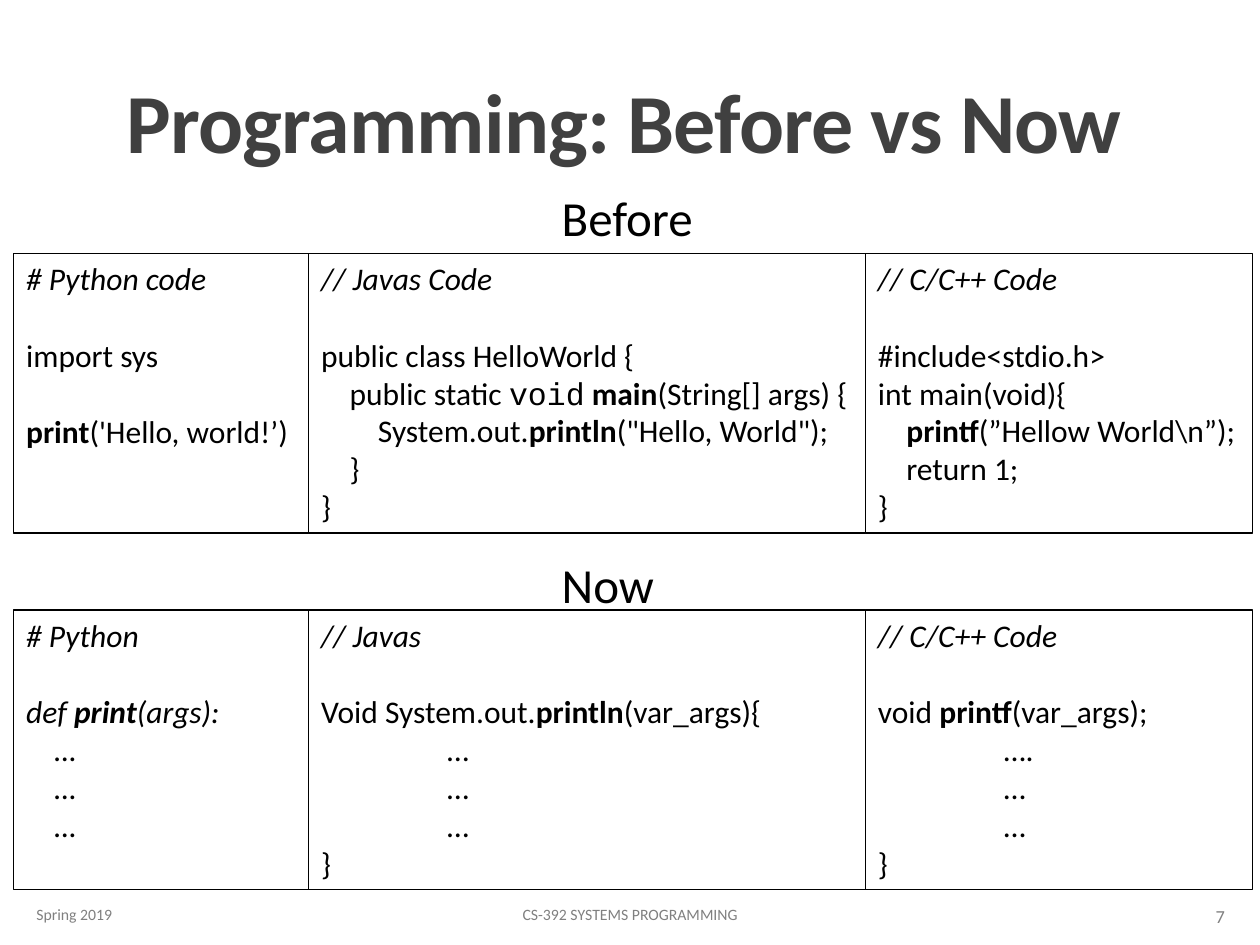
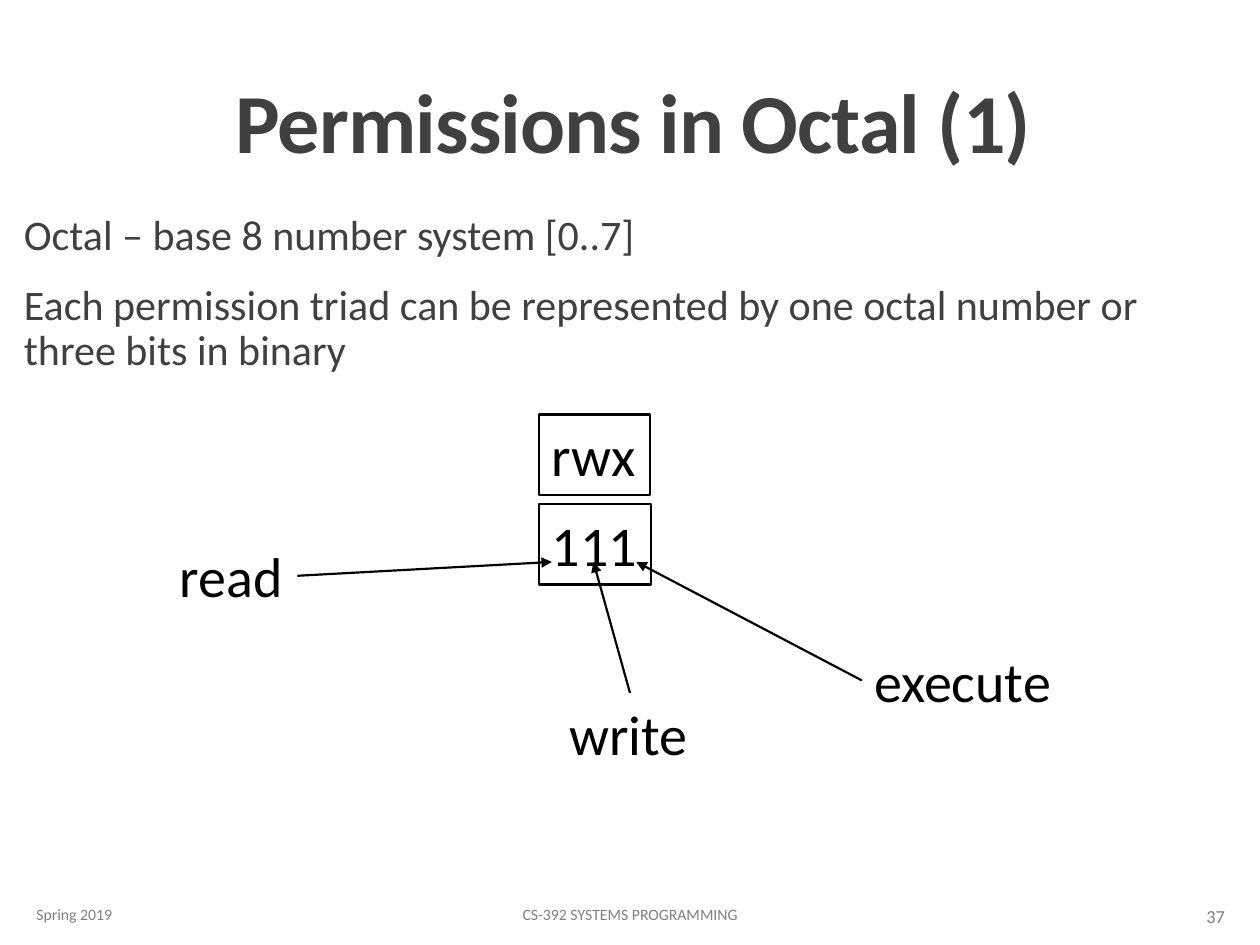
import pptx
import pptx.dml.color
import pptx.enum.shapes
import pptx.enum.text
import pptx.oxml.ns
import pptx.util
import lxml.etree

COLORS = {"ink": "000000", "title": "404040", "footer": "808080", "paper": "FFFFFF"}
COLS, ROWS = 100, 75
ANCHOR = pptx.enum.text.MSO_ANCHOR
ALIGN = pptx.enum.text.PP_ALIGN


def color(name):
    return pptx.dml.color.RGBColor.from_string(COLORS[name])


def add_child(parent, tag, **attributes):
    return lxml.etree.SubElement(parent, pptx.oxml.ns.qn(tag), attributes)


class Deck:
    font, mono = "Calibri", "Courier New"

    def __init__(self):
        self.prs = pptx.Presentation()
        self.prs.slide_width = pptx.util.Inches(10)
        self.prs.slide_height = pptx.util.Inches(7.5)
        self.s = None

    def x(self, cols):
        return round(self.prs.slide_width * cols / COLS)

    def y(self, rows):
        return round(self.prs.slide_height * rows / ROWS)

    def frame(self, at):
        left, top, width, height = at
        return self.x(left), self.y(top), self.x(width), self.y(height)

    def style(self, p, size, ink="ink", align=None, bold=None, italic=None):
        p.font.name, p.font.size = self.font, pptx.util.Pt(size)
        p.font.color.rgb = color(ink)
        p.font.bold, p.font.italic = bold, italic
        if align is not None:
            p.alignment = align

    def slide(self, title, number):
        self.s = self.prs.slides.add_slide(self.prs.slide_layouts[6])
        p = self.text(title, (9, 0.4, 82.5, 13.6), 48, "title",
                      ALIGN.CENTER, ANCHOR.BOTTOM, bold=True)
        p.line_spacing = 0.85
        p.runs[0]._r.get_or_add_rPr().set("spc", "-50")
        for words, at, size, align in (
                ("Spring 2019", (1.9, 70.6, 20.3, 4), 9, ALIGN.LEFT),
                ("CS-392 SYSTEMS PROGRAMMING", (30.2, 70.6, 39.6, 4), 9, ALIGN.CENTER),
                (str(number), (87.4, 70.7, 10.8, 4), 10.5, ALIGN.RIGHT)):
            self.text(words, at, size, "footer", align, ANCHOR.MIDDLE)

    def text(self, words, at, size, ink="ink", align=None, anchor=ANCHOR.TOP,
             bold=None, wrap=True):
        tf = self.s.shapes.add_textbox(*self.frame(at)).text_frame
        return self.fill_text(tf, words, size, ink, align, anchor, bold, wrap)

    def fill_text(self, tf, words, size, ink="ink", align=None,
                  anchor=ANCHOR.TOP, bold=None, wrap=True):
        tf.word_wrap, tf.vertical_anchor = wrap, anchor
        p = tf.paragraphs[0]
        p.add_run().text = words
        self.style(p, size, ink, align, bold)
        return p

    def box(self, at, weight, fill=None):
        sp = self.s.shapes.add_shape(
            pptx.enum.shapes.MSO_SHAPE.RECTANGLE, *self.frame(at))
        sp.shadow.inherit = False
        sp.line.color.rgb = color("ink")
        sp.line.width = pptx.util.Pt(weight)
        if fill:
            sp.fill.solid()
            sp.fill.fore_color.rgb = color(fill)
        else:
            sp.fill.background()
        return sp.text_frame

    def code(self, source, at, italic_lines=1, size=18):
        tf = self.box(at, 0.75)
        tf.word_wrap, tf.vertical_anchor = True, ANCHOR.TOP
        p, gap = tf.paragraphs[0], 0
        for i, line in enumerate(source.split("\n")):
            if not line:
                gap = 22
                continue
            if i:
                p = tf.add_paragraph()
            if line.startswith("\t"):
                tabs = add_child(p._p.get_or_add_pPr(), "a:tabLst")
                add_child(tabs, "a:tab", pos=str(self.x(10)), algn="l")
            self.style(p, size, align=ALIGN.LEFT, italic=i < italic_lines)
            if gap:
                p.space_before, gap = pptx.util.Pt(gap), 0
            for j, part in enumerate(line.split("|")):
                if not part:
                    continue
                r = p.add_run()
                r.text = part.lstrip("`")
                if part.startswith("`"):
                    r.font.name = self.mono
                elif j % 2:
                    r.font.bold = True

    def body(self, items, at, size):
        tf = self.s.shapes.add_textbox(*self.frame(at)).text_frame
        tf.word_wrap, tf.margin_left, tf.margin_right = True, 0, 0
        for i, item in enumerate(items):
            p = tf.add_paragraph() if i else tf.paragraphs[0]
            p.add_run().text = item
            p.line_spacing, p.space_after = 0.9, pptx.util.Pt(2)
            if i:
                p.space_before = pptx.util.Pt(12)
            self.style(p, size, "title")

    def arrow(self, start, end):
        c = self.s.shapes.add_connector(
            pptx.enum.shapes.MSO_CONNECTOR.STRAIGHT,
            self.x(start[0]), self.y(start[1]), self.x(end[0]), self.y(end[1]))
        c.line.color.rgb = color("ink")
        c.line.width = pptx.util.Pt(1.25)
        add_child(c.line._get_or_add_ln(), "a:tailEnd", type="triangle")
        add_child(c._element.spPr, "a:effectLst")


PYTHON_BEFORE = """# Python code

import sys

|print|('Hello, world!’)"""

JAVA_BEFORE = """// Javas Code

public class HelloWorld {
    public static |`void| |main|(String[] args) {
        System.out.|println|("Hello, World");
    }
}"""

C_BEFORE = r"""// C/C++ Code

#include<stdio.h>
int main(void){
    |printf|(”Hellow World\n”);
    return 1;
}"""

PYTHON_NOW = """# Python

def |print|(args):
    …
    …
    …"""

JAVA_NOW = """// Javas

Void System.out.|println|(var_args){
\t…
\t…
\t…
}"""

C_NOW = """// C/C++ Code

void |printf|(var_args);
\t….
\t…
\t…
}"""


def before_vs_now(deck):
    deck.slide("Programming: Before vs Now ", 7)
    widths = (23.4, 44.2, 30.7)
    for heading, heading_top, top, sources, python_italics in (
            ("Before", 14.4, 20.1, (PYTHON_BEFORE, JAVA_BEFORE, C_BEFORE), 1),
            ("Now", 43.5, 48.4, (PYTHON_NOW, JAVA_NOW, C_NOW), 6)):
        deck.text(heading, (43.6, heading_top, 22.8, 5.7), 28)
        left = 1.1
        for source, width, italics in zip(sources, widths, (python_italics, 1, 1)):
            deck.code(source, (left, top, width, 22.2), italics)
            left += width


def permissions_in_octal(deck):
    deck.slide("Permissions in Octal (1)", 37)
    deck.body(("Octal – base 8 number system [0..7]",
               "Each permission triad can be represented by one octal number "
               "or three bits in binary"), (1.9, 16.5, 96.2, 16.4), 24)
    for bits, top, width in (("111", 40, 8.9), ("rwx", 32.9, 8.8)):
        tf = deck.box((42.8, top, width, 6.4), 1.25, "paper")
        deck.fill_text(tf, bits, 32, align=ALIGN.LEFT, wrap=False)
    for label, left, top, width, start, bit_x in (
            ("read", 13.3, 42.5, 10.3, (23.6, 45.7), 43.8),
            ("write", 44.2, 55, 11.5, (50, 55), 47.1),
            ("execute", 68.4, 50.8, 16.2, (68.4, 54), 50.5)):
        deck.text(label, (left, top, width, 6.4), 32, wrap=False)
        deck.arrow(start, (bit_x, 44.6))


def main():
    deck = Deck()
    before_vs_now(deck)
    permissions_in_octal(deck)
    deck.prs.save("out.pptx")


if __name__ == "__main__":
    main()
